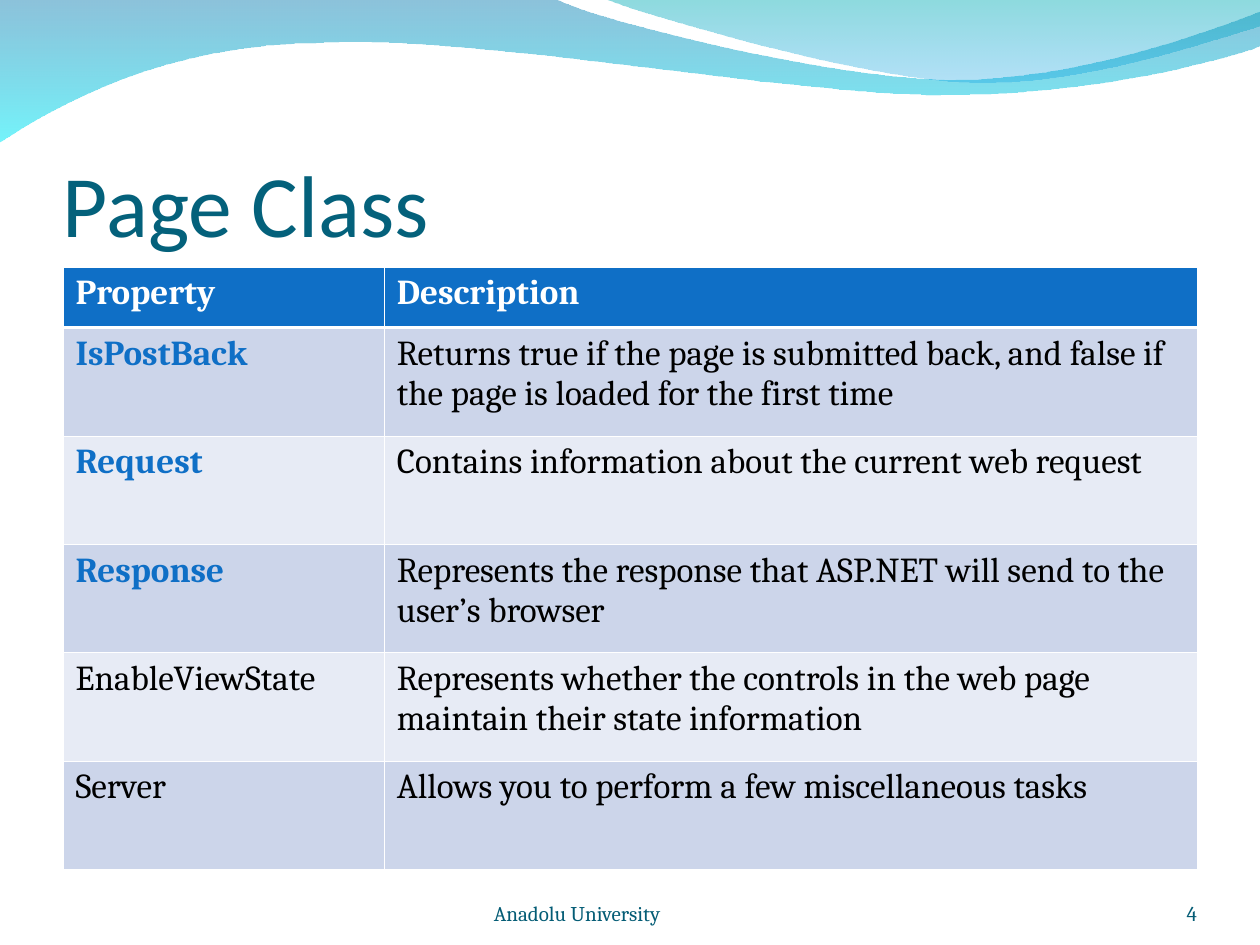
import lxml.etree
import pptx
import pptx.dml.color
import pptx.enum.text
import pptx.oxml.ns
import pptx.util
from dataclasses import dataclass

Inches = pptx.util.Inches
Pt = pptx.util.Pt
qn = pptx.oxml.ns.qn
ALIGN = pptx.enum.text.PP_ALIGN
ANCHOR = pptx.enum.text.MSO_ANCHOR


@dataclass(frozen=True)
class Theme:
    title_font: str = "Calibri"
    body_font: str = "Cambria"
    title_size: float = 50
    table_size: float = 20
    footer_size: float = 12
    title: str = "04617B"
    footer: str = "045C75"
    accent: str = "0F6FC6"
    text: str = "000000"
    white: str = "FFFFFF"
    bands: tuple = ("CCD5EA", "E7EBF5")
    # Gradient stops: colour and opacity in percent
    back_wave: tuple = (("0079AF", 45), ("00EBF8", 55))
    front_wave: tuple = (("00ADB6", 45), ("009BE5", 30))
    thin_border: float = 0.45
    header_border: float = 1.47


def rgb(color):
    return pptx.dml.color.RGBColor.from_string(color)


def bend(shape, segments):
    """Turn the lines of every three-point segment into one cubic curve."""
    lines = iter(list(shape._element.iter(qn("a:lnTo"))))
    for segment in segments:
        group = [next(lines) for _ in segment]
        if len(group) == 3:
            outline = group[0].getparent()
            curve = lxml.etree.SubElement(outline, qn("a:cubicBezTo"))
            group[0].addprevious(curve)
            for line in group:
                curve.append(line[0])
                outline.remove(line)


class SlideBuilder:
    def __init__(self, slide, theme):
        self.slide = slide
        self.theme = theme

    def style(self, paragraph, font, size, color, bold=False):
        paragraph.font.name = font
        paragraph.font.size = Pt(size)
        paragraph.font.color.rgb = rgb(color)
        paragraph.font.bold = bold

    def wave(self, start, segments, stops):
        """Each segment is one point for a line or three for a curve."""
        segments = segments + [[start]]
        builder = self.slide.shapes.build_freeform(*map(Inches, start))
        builder.add_line_segments(
            [(Inches(x), Inches(y)) for segment in segments for x, y in segment], close=True)
        shape = builder.convert_to_shape()
        bend(shape, segments)
        shape.shadow.inherit = False
        shape.line.fill.background()
        shape.fill.gradient()
        shape.fill.gradient_angle = 270
        for stop, (color, _) in zip(shape.fill.gradient_stops, stops):
            stop.color.rgb = rgb(color)
        for node, (_, opacity) in zip(shape._element.iter(qn("a:srgbClr")), stops):
            lxml.etree.SubElement(node, qn("a:alpha"), val=str(opacity * 1000))

    def text(self, box, words, font, size, color, align=ALIGN.LEFT, top_inset=0, tab=None):
        frame = self.slide.shapes.add_textbox(*map(Inches, box)).text_frame
        frame.word_wrap = True
        frame.vertical_anchor = ANCHOR.BOTTOM
        frame.margin_left = frame.margin_right = frame.margin_bottom = 0
        frame.margin_top = Inches(top_inset)
        paragraph = frame.paragraphs[0]
        paragraph.text = words
        paragraph.alignment = align
        if tab:
            stops = lxml.etree.SubElement(paragraph._p.get_or_add_pPr(), qn("a:tabLst"))
            lxml.etree.SubElement(stops, qn("a:tab"), pos=str(Inches(tab)), algn="l")
        self.style(paragraph, font, size, color)

    def borders(self, cell, **widths):
        properties = cell._tc.get_or_add_tcPr()
        for side in "LRTB":
            width = widths.get(side, self.theme.thin_border)
            line = lxml.etree.SubElement(properties, qn("a:ln" + side), w=str(Pt(width)))
            fill = lxml.etree.SubElement(line, qn("a:solidFill"))
            lxml.etree.SubElement(fill, qn("a:srgbClr"), val=self.theme.white)

    def table(self, left, top, column_widths, header_height, row_height, rows, key_names):
        theme = self.theme
        heights = [header_height] + [row_height] * (len(rows) - 1)
        table = self.slide.shapes.add_table(
            len(rows), len(column_widths), Inches(left), Inches(top),
            Inches(sum(column_widths)), Inches(sum(heights))).table
        for column, width in zip(table.columns, column_widths):
            column.width = Inches(width)
        for index, (row, height) in enumerate(zip(table.rows, heights)):
            row.height = Inches(height)
            edge = {0: {"B": theme.header_border}, 1: {"T": theme.header_border}}.get(index, {})
            for cell, words in zip(row.cells, rows[index]):
                is_header, is_key = index == 0, words in key_names
                self.borders(cell, **edge)
                cell.fill.solid()
                cell.fill.fore_color.rgb = rgb(
                    theme.accent if is_header else theme.bands[(index - 1) % 2])
                color = theme.white if is_header else theme.accent if is_key else theme.text
                paragraph = cell.text_frame.paragraphs[0]
                paragraph.text = words
                self.style(paragraph, theme.body_font, theme.table_size, color,
                           bold=is_header or is_key)


PROPERTIES = [
    ("Property", "Description"),
    ("IsPostBack", "Returns true if the page is submitted back, and false if "
                   "the page is loaded for the first time"),
    ("Request", "Contains information about the current web request"),
    ("Response", "Represents the response that ASP.NET will send to the user’s browser"),
    ("EnableViewState", "Represents whether the controls in the web page "
                        "maintain their state information"),
    ("Server", "Allows you to perform a few miscellaneous tasks"),
]


def main():
    theme = Theme()
    deck = pptx.Presentation()
    deck.slide_width, deck.slide_height = Inches(10), Inches(7.5)
    page = SlideBuilder(deck.slides.add_slide(deck.slide_layouts[6]), theme)

    # Waves along the top edge
    page.wave((0, -0.01), [
        [(4.4, -0.01)],
        [(4.76, 0.17), (6.64, 0.63), (7.58, 0.63)],
        [(8.53, 0.63), (9.58, 0.26), (10, 0.09)],
        [(10.01, 0.36)],
        [(9.83, 0.44), (8.7, 0.76), (7.46, 0.75)],
        [(6.22, 0.75), (3.82, 0.28), (2.57, 0.34)],
        [(1.29, 0.35), (0.46, 0.83), (-0.01, 1.13)],
    ], theme.back_wave)
    page.wave((4.79, -0.01), [
        [(5.09, 0.11), (6.82, 0.62), (7.69, 0.65)],
        [(8.56, 0.69), (9.61, 0.32), (10, 0.21)],
        [(10, 0)],
    ], theme.front_wave)

    # Title
    page.text((0.5, 0.77, 9, 1.25), "Page Class", theme.title_font,
              theme.title_size, theme.title, top_inset=0.05)

    # Properties of the class
    page.table(0.5, 2.12, (2.55, 6.45), 0.48, 0.86, PROPERTIES,
               key_names=("IsPostBack", "Request", "Response"))

    # Slide number and footer
    footer_style = (theme.body_font, theme.footer_size, theme.footer)
    page.text((8.67, 6.95, 0.83, 0.4), "4", *footer_style, align=ALIGN.RIGHT)
    page.text((2.92, 6.95, 3.67, 0.4), "\tAnadolu University", *footer_style, tab=1)

    deck.save("out.pptx")


if __name__ == "__main__":
    main()
